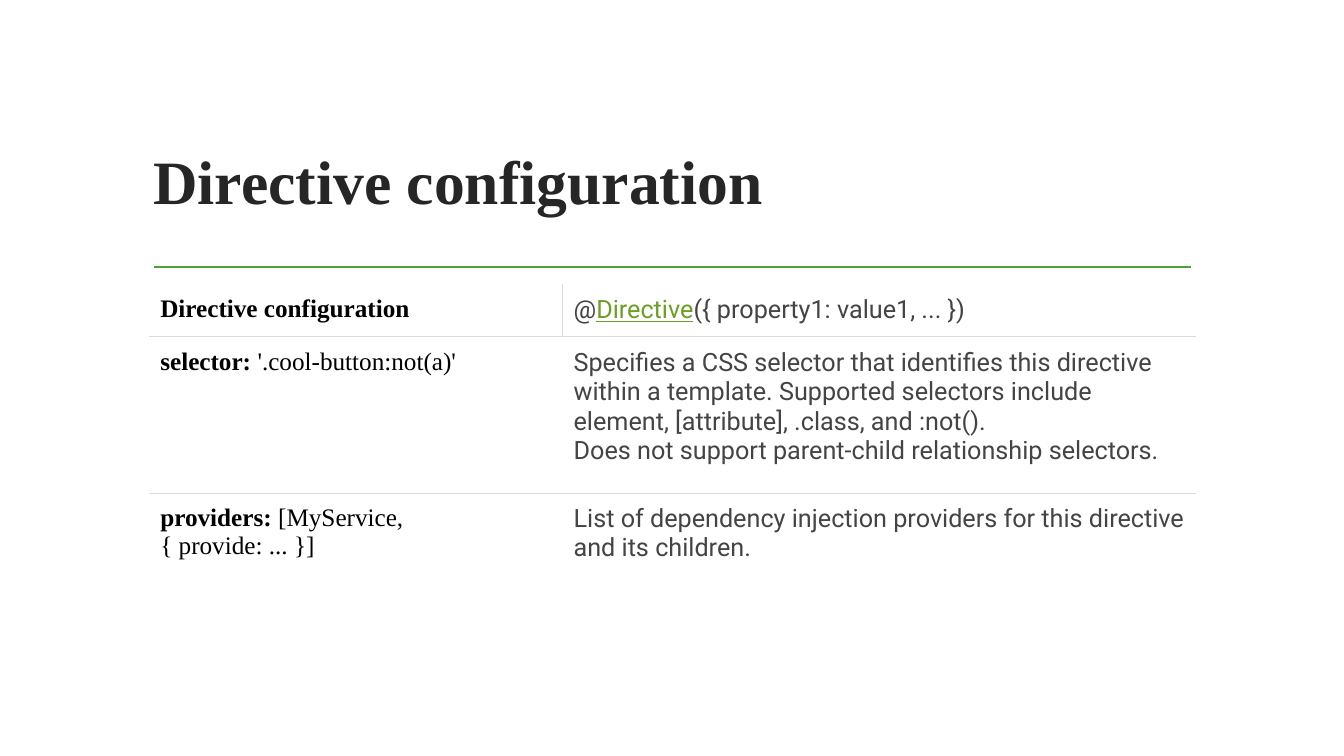
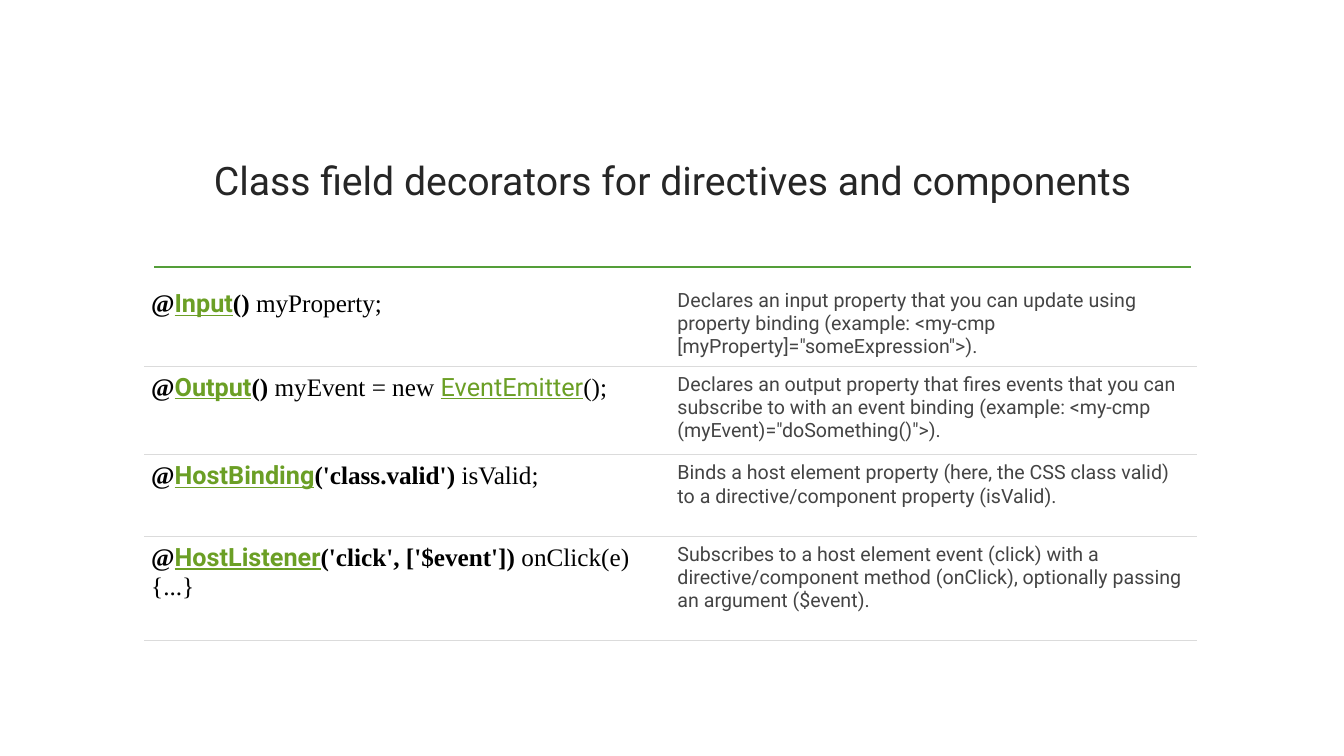
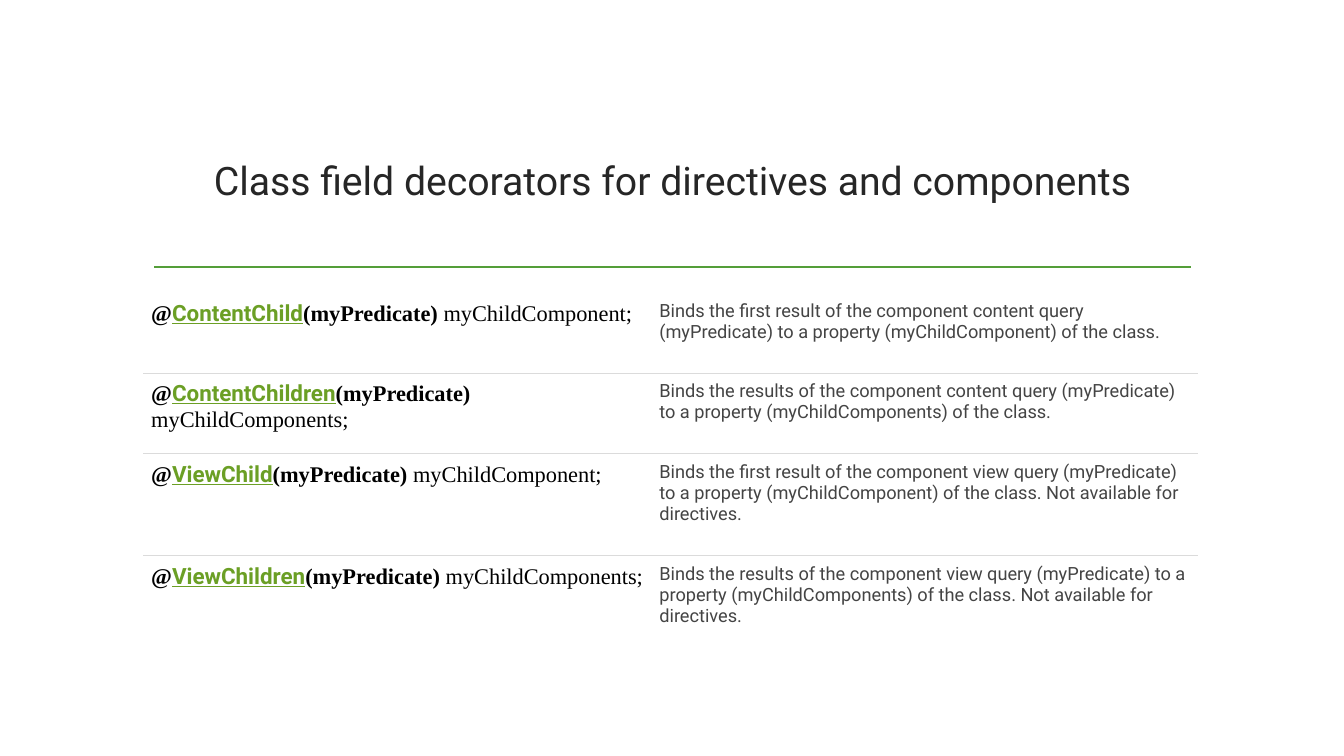
from lxml import etree
from pptx import Presentation
from pptx import util as u
from pptx.dml.color import RGBColor
from pptx.enum import text
from pptx.oxml import ns

COLORS = {
    "paper": "FFFFFF",
    "rule": "549E39",
    "grid": "DBDBDB",
    "title": "262626",
    "code": "000000",
    "note": "444444",
    "link": "6B9F25",
}
SERIF, SANS = "Times New Roman", "Roboto"
STYLES = {
    "strong": (SERIF, "code", True, False),
    "code": (SERIF, "code", False, False),
    "note": (SANS, "note", False, False),
    "link": (SANS, "link", False, True),
    "strong link": (SANS, "link", True, True),
}
TITLE_BOX = (1.42, 1.07, 10.5, 1.43)
RULE_LEFT, RULE_RIGHT, RULE_Y = 1.53, 11.81, 2.65
DECORATORS_TITLE = "Class field decorators for directives and components"


def rgb(name):
    return RGBColor.from_string(COLORS[name])


def add_run(p, words, font, size, color, bold=False, underline=False):
    r = p.add_run()
    r.text = words
    r.font.name = font
    r.font.size = u.Pt(size)
    r.font.color.rgb = rgb(color)
    r.font.bold = bold
    r.font.underline = underline


def place_title(layout):
    title = layout.placeholders[0]
    title.left, title.top, title.width, title.height = map(u.Inches, TITLE_BOX)


def add_rule(s):
    y = u.Inches(RULE_Y)
    line = s.shapes.add_connector(1, u.Inches(RULE_LEFT), y, u.Inches(RULE_RIGHT), y)
    line.line.color.rgb = rgb("rule")
    line.line.width = u.Pt(1.25)
    etree.SubElement(line.element.spPr, ns.qn("a:effectLst"))


def add_slide(prs, layout, title, font, size, align, bold=False):
    s = prs.slides.add_slide(layout)
    add_rule(s)
    tf = s.shapes.title.text_frame
    tf.vertical_anchor = text.MSO_ANCHOR.MIDDLE
    p = tf.paragraphs[0]
    p.alignment = align
    add_run(p, title, font, size, "title", bold)
    return s


def set_borders(cell, visible):
    tc_pr = cell._tc.get_or_add_tcPr()
    for side in "LRTB":
        ln = etree.SubElement(tc_pr, ns.qn(f"a:ln{side}"), w=str(u.Pt(0.5)))
        if side in visible:
            fill = etree.SubElement(ln, ns.qn("a:solidFill"))
            etree.SubElement(fill, ns.qn("a:srgbClr"), val=COLORS["grid"])
        else:
            etree.SubElement(ln, ns.qn("a:noFill"))


def fill_cell(cell, paragraphs, size, inset, borders):
    set_borders(cell, borders)
    cell.fill.solid()
    cell.fill.fore_color.rgb = rgb("paper")
    cell.margin_left = cell.margin_right = u.Inches(inset)
    cell.margin_top = cell.margin_bottom = u.Inches(inset)
    tf = cell.text_frame
    for i, runs in enumerate(paragraphs):
        p = tf.add_paragraph() if i else tf.paragraphs[0]
        for style, words in runs:
            font, color, bold, underline = STYLES[style]
            add_run(p, words, font, size, color, bold, underline)


def add_grid(s, left, top, cols, heights, rows, sizes, inset, split_head=False, closed=False):
    frame = s.shapes.add_table(
        len(rows), len(cols), u.Inches(left), u.Inches(top),
        u.Inches(sum(cols)), u.Inches(sum(heights)))
    table = frame.table
    table.first_row = table.horz_banding = False
    for column, width in zip(table.columns, cols):
        column.width = u.Inches(width)
    for i, (height, row) in enumerate(zip(heights, rows)):
        table.rows[i].height = u.Inches(height)
        across = ("T" if i else "") + ("B" if closed or i < len(rows) - 1 else "")
        for j, paragraphs in enumerate(row):
            between = "RL"[j] if split_head and i == 0 else ""
            fill_cell(table.cell(i, j), paragraphs, sizes[j], inset, across + between)


def note(*lines):
    return [[("note", line)] for line in lines]


def setting(name, value):
    return [[("strong", name), ("code", value)]]


def decorator(name, arguments, *rest):
    return [[("strong", "@"), ("strong link", name), ("strong", arguments), *rest]]


def member(name, arguments, target):
    return decorator(name, arguments, ("code", " " + target))


def directive_configuration(prs, layout):
    s = add_slide(prs, layout, "Directive configuration", SERIF, 44, text.PP_ALIGN.LEFT, True)
    rows = [
        ([[("strong", "Directive configuration")]],
         [[("note", "@"), ("link", "Directive"), ("note", "({ property1: value1, ... })")]]),
        (setting("selector:", " '.cool-button:not(a)'"),
         note("Specifies a CSS selector that identifies this directive within a template. "
              "Supported selectors include element, [attribute], .class, and :not().",
              "Does not support parent-child relationship selectors.")),
        (setting("providers:", " [MyService, { provide: ... }]"),
         note("List of dependency injection providers for this directive and its children.")),
    ]
    add_grid(s, 1.48, 2.82, (4.1, 6.28), (0.52, 1.55, 0.81), rows, (18, 18), 0.11,
             split_head=True)


def property_decorators(prs, layout):
    s = add_slide(prs, layout, DECORATORS_TITLE, SANS, 28, text.PP_ALIGN.CENTER)
    rows = [
        (member("Input", "()", "myProperty;"),
         note("Declares an input property that you can update using property binding "
              "(example: <my-cmp [myProperty]=\"someExpression\">).")),
        (decorator("Output", "()", ("code", " myEvent = new "),
                   ("link", "EventEmitter"), ("code", "();")),
         note("Declares an output property that fires events that you can subscribe to with "
              "an event binding (example: <my-cmp (myEvent)=\"doSomething()\">).")),
        (member("HostBinding", "('class.valid')", "isValid;"),
         note("Binds a host element property (here, the CSS class valid) to a "
              "directive/component property (isValid).")),
        (member("HostListener", "('click', ['$event'])", "onClick(e) {...}"),
         note("Subscribes to a host element event (click) with a directive/component method "
              "(onClick), optionally passing an argument ($event).")),
    ]
    add_grid(s, 1.43, 2.8, (5.22, 5.22), (0.65, 0.88, 0.81, 1.03), rows, (18, 14), 0.07,
             closed=True)


def query_decorators(prs, layout):
    s = add_slide(prs, layout, DECORATORS_TITLE, SANS, 28, text.PP_ALIGN.CENTER)
    queries = [
        ("ContentChild", "first result", "content", "myChildComponent", ""),
        ("ContentChildren", "results", "content", "myChildComponents", ""),
        ("ViewChild", "first result", "view", "myChildComponent",
         " Not available for directives."),
        ("ViewChildren", "results", "view", "myChildComponents",
         " Not available for directives."),
    ]
    rows = [
        (member(name, "(myPredicate)", target + ";"),
         note(f"Binds the {result} of the component {source} query (myPredicate) "
              f"to a property ({target}) of the class.{limit}"))
        for name, result, source, target, limit in queries
    ]
    add_grid(s, 1.42, 2.9, (5.04, 5.42), (0.8, 0.8, 1.01, 1.01), rows, (16, 13), 0.08)


def main():
    prs = Presentation()
    prs.slide_width, prs.slide_height = u.Inches(13.33), u.Inches(7.5)
    layout = prs.slide_layouts[5]
    place_title(layout)
    directive_configuration(prs, layout)
    property_decorators(prs, layout)
    query_decorators(prs, layout)
    prs.save("out.pptx")


if __name__ == "__main__":
    main()
